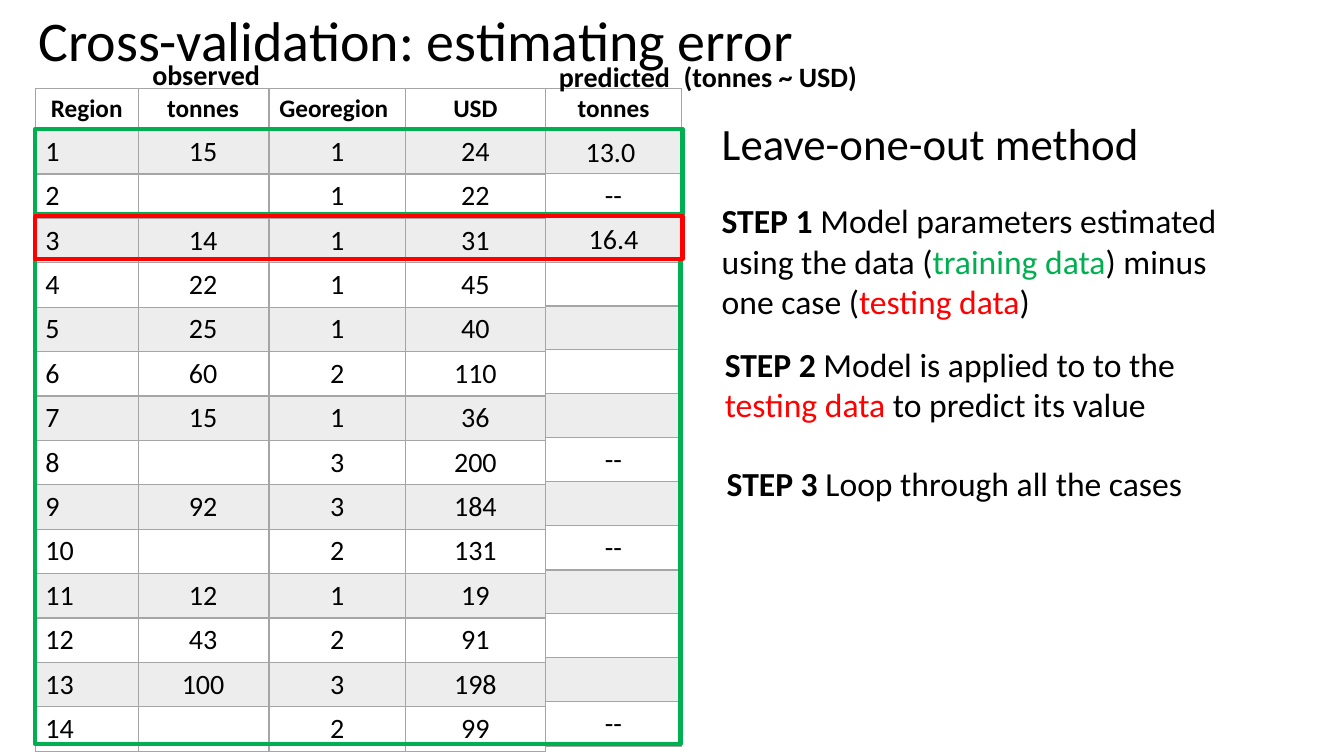
from lxml import etree
from pptx import Presentation
from pptx.dml.color import RGBColor
from pptx.enum import shapes, text
from pptx.oxml import ns
from pptx.util import Inches, Pt

BLACK = RGBColor(0, 0, 0)
GREEN = RGBColor(0x00, 0xB0, 0x50)
RED = RGBColor(0xFF, 0, 0)
GREY = RGBColor(0xA5, 0xA5, 0xA5)
BAND = RGBColor(0xED, 0xED, 0xED)
LEFT, CENTER = text.PP_ALIGN.LEFT, text.PP_ALIGN.CENTER
FONT = "Calibri"
HEADER_HEIGHT, ROW_HEIGHT = 0.4, 0.435

REGIONS = [str(number) for number in range(1, 15)]
OBSERVED = ["15", "", "14", "22", "25", "60", "15", "", "92", "", "12", "43", "100", ""]
GEOREGIONS = list("11111213321232")
USD = "24 22 31 45 40 110 36 200 184 131 19 91 198 99".split()
PREDICTED = ["", "--", "16.4", "", "", "", "", "--", "", "--", "", "", "", "--"]

# Each table: left edge, then columns of (heading, values, width, heading and value alignment)
TABLES = [
    (2.67, [("Georegion", GEOREGIONS, 1.35, LEFT, CENTER), ("USD", USD, 1.39, CENTER, CENTER)]),
    (0.35, [("Region", REGIONS, 1.02, CENTER, LEFT), ("tonnes", OBSERVED, 1.29, CENTER, CENTER)]),
    (5.41, [("tonnes", PREDICTED, 1.35, CENTER, CENTER)]),
]
LABELS = [
    ("predicted", (5.38, 0.54, 1.43, 0.44), CENTER, True),
    ("observed", (1.33, 0.52, 1.43, 0.44), CENTER, True),
    ("(tonnes ~ USD)", (5.83, 0.54, 3.62, 0.44), CENTER, True),
    ("13.0", (5.71, 1.29, 0.96, 0.44), LEFT, False),
]
FRAMES = [
    ((0.35, 2.57, 6.4, 4.81), GREEN),
    ((0.35, 1.28, 6.42, 0.84), GREEN),
    ((0.35, 2.14, 6.42, 0.43), RED),
]
METHOD = [("Leave-one-out method", {"size": Pt(32)})]
STEP_1 = [
    ("STEP 1", {"bold": True}),
    (" Model parameters estimated using the data (", {}),
    ("training data", {"color": GREEN}),
    (") minus one case (", {}),
    ("testing data", {"color": RED}),
    (")", {}),
]
STEP_2 = [
    ("STEP 2", {"bold": True}),
    (" Model is applied to to the ", {}),
    ("testing data", {"color": RED}),
    (" to predict its value", {}),
]
STEP_3 = [("STEP 3", {"bold": True}), (" Loop through all the cases", {})]
STEPS = [
    ((7.06, 1.1, 5.47, 2.17), [METHOD, STEP_1]),
    ((7.09, 3.36, 5.47, 0.91), [STEP_2]),
    ((7.11, 4.54, 5.47, 0.5), [STEP_3]),
]


def write_spans(para, spans, size, align=LEFT):
    """Fill a paragraph with (words, format) spans on top of the common font."""
    para.alignment = align
    for words, changes in spans:
        span = para.add_run()
        span.text = words
        look = {"name": FONT, "size": Pt(size), "bold": False, "color": BLACK, **changes}
        span.font.color.rgb = look.pop("color")
        for key, value in look.items():
            setattr(span.font, key, value)


def place(shape, box):
    for key, value in zip(("left", "top", "width", "height"), box):
        setattr(shape, key, Inches(value))


def add_title(page, box):
    title = page.shapes.title
    place(title, box)
    frame = title.text_frame
    frame.auto_size = text.MSO_AUTO_SIZE.NONE
    frame.vertical_anchor = text.MSO_ANCHOR.TOP
    para = frame.paragraphs[0]
    para.line_spacing = 1.0
    write_spans(para, [("Cross-validation: estimating error", {})], 40)


def add_text(page, box, paragraphs, size, align=LEFT):
    frame = page.shapes.add_textbox(*map(Inches, box)).text_frame
    frame.word_wrap = True
    for index, spans in enumerate(paragraphs):
        para = frame.add_paragraph() if index else frame.paragraphs[0]
        para.space_before = Pt(22 if index else 0)
        write_spans(para, spans, size, align)


def add_frame(page, box, color):
    frame = page.shapes.add_shape(shapes.MSO_SHAPE.RECTANGLE, *map(Inches, box))
    frame.shadow.inherit = False
    frame.fill.background()
    frame.line.color.rgb = color
    frame.line.width = Pt(3)


def set_borders(cell, bottom_width):
    properties = cell._tc.get_or_add_tcPr()
    for index, side in enumerate(("lnL", "lnR", "lnT", "lnB")):
        width = bottom_width if side == "lnB" else 1
        border = etree.Element(ns.qn(f"a:{side}"), w=str(Pt(width)))
        fill = etree.SubElement(border, ns.qn("a:solidFill"))
        etree.SubElement(fill, ns.qn("a:srgbClr"), val=str(GREY))
        properties.insert(index, border)


def add_data_table(page, left, top, columns):
    count = len(REGIONS) + 1
    width = sum(column[2] for column in columns)
    height = HEADER_HEIGHT + ROW_HEIGHT * len(REGIONS)
    table = page.shapes.add_table(
        count, len(columns), *map(Inches, (left, top, width, height))).table
    table.first_row = table.horz_banding = False
    for index, row in enumerate(table.rows):
        row.height = Inches(ROW_HEIGHT if index else HEADER_HEIGHT)
    for position, (heading, values, width, heading_align, align) in enumerate(columns):
        table.columns[position].width = Inches(width)
        for index, value in enumerate([heading, *values]):
            cell = table.cell(index, position)
            if index % 2:
                cell.fill.solid()
                cell.fill.fore_color.rgb = BAND
            else:
                cell.fill.background()
            set_borders(cell, 1 if index else 2)
            if value:
                write_spans(cell.text_frame.paragraphs[0], [(value, {"bold": index == 0})],
                            20 if index else 18, align if index else heading_align)


def main():
    deck = Presentation()
    deck.slide_width, deck.slide_height = Inches(13.33), Inches(7.5)
    page = deck.slides.add_slide(deck.slide_layouts.get_by_name("Title Only"))
    add_title(page, (0.28, 0, 7.92, 0.77))
    for left, columns in TABLES:
        add_data_table(page, left, 0.88, columns)
    for words, box, align, bold in LABELS:
        add_text(page, box, [[(words, {"bold": bold})]], 20, align)
    for box, color in FRAMES:
        add_frame(page, box, color)
    for box, paragraphs in STEPS:
        add_text(page, box, paragraphs, 24)
    deck.save("out.pptx")


if __name__ == "__main__":
    main()
